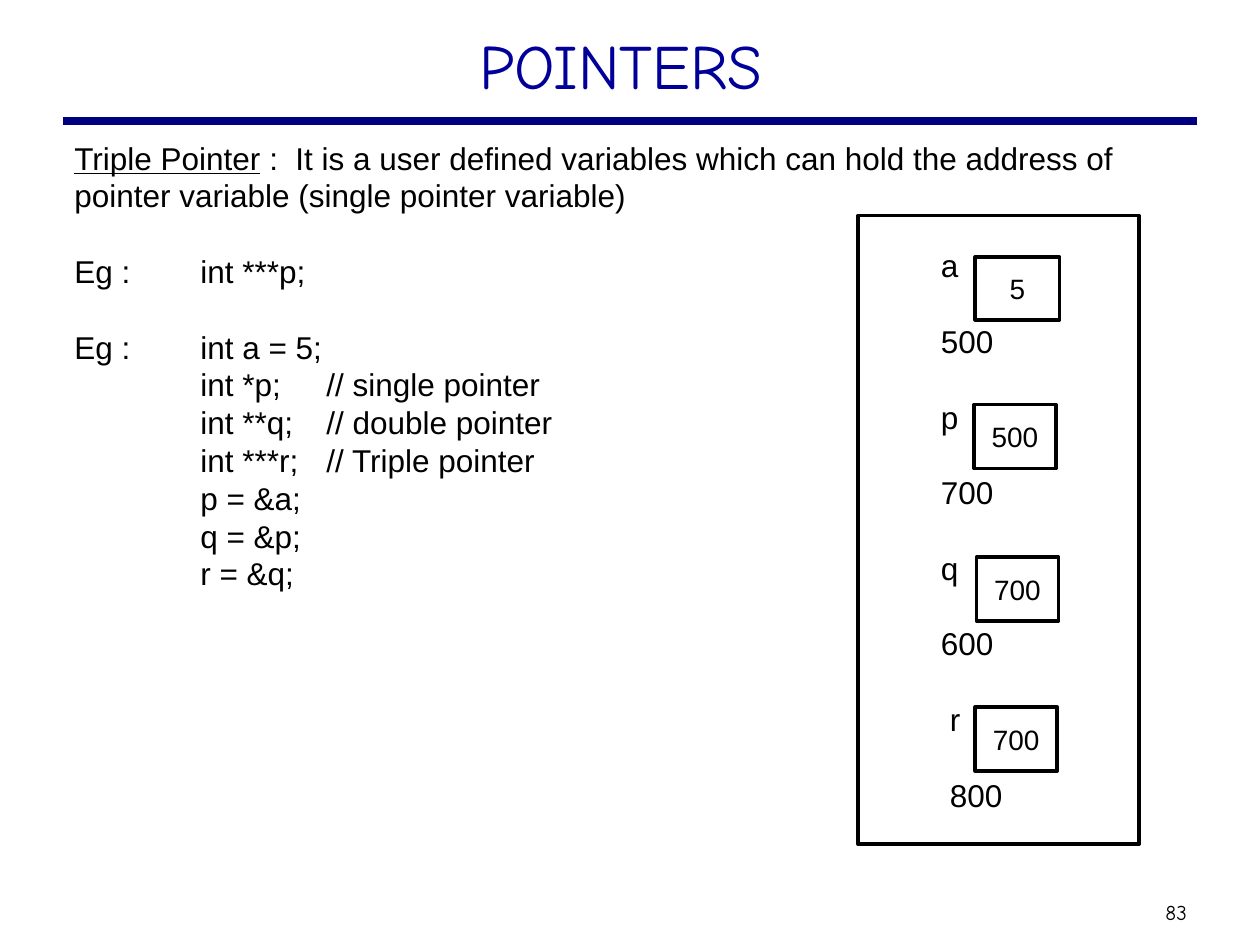
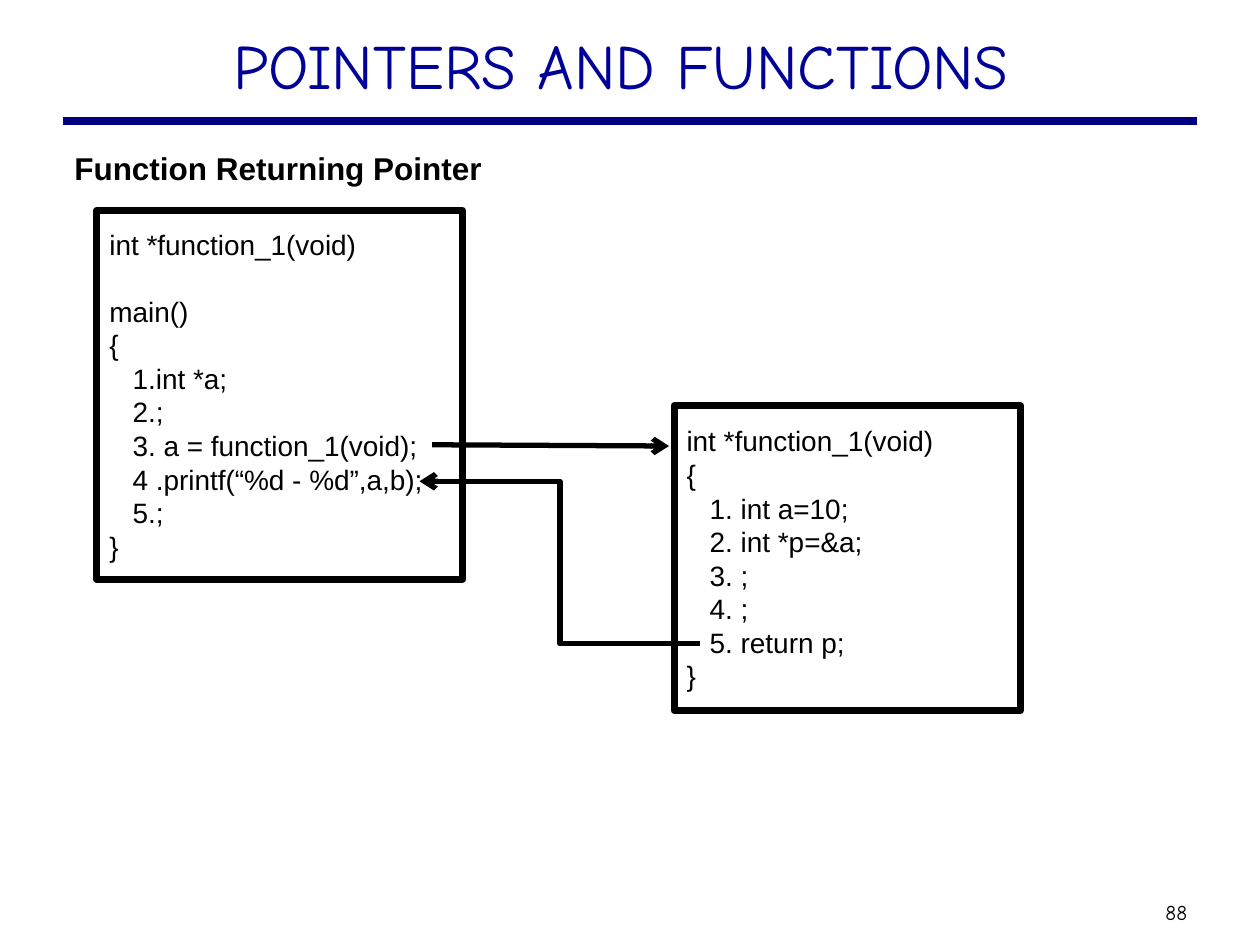
from dataclasses import dataclass

from pptx import Presentation
from pptx.dml.color import RGBColor
from pptx.enum.shapes import MSO_CONNECTOR as Connector, MSO_SHAPE as Shape
from pptx.enum.text import MSO_ANCHOR as Anchor, MSO_AUTO_SIZE as AutoSize, PP_ALIGN as Align
from pptx.oxml.ns import qn
from pptx.util import Inches, Pt
from lxml.etree import SubElement

# ---- Content ----
# A paragraph is (text, formats); a plain string has no special format.
TRIPLE_POINTER = [
    ("Triple Pointer", {"rest": " :  It is a user defined variables which can hold "
                                "the address of pointer variable (single pointer variable)"}),
    ("Eg :\tint ***p;", {"gap": True}),
    ("Eg :\tint a = 5;", {"gap": True}),
    "\tint *p;\t// single pointer",
    "\tint **q;\t// double pointer",
    "\tint ***r;\t// Triple pointer",
    "\tp = &a;",
    "\tq = &p;",
    "\tr = &q;",
]
# Variable, address, label indent, value, cell box
MEMORY = [
    ("a", "500", 0.56, "5", (7.74, 2.04, 0.67, 0.5)),
    ("p", "700", 0.56, "500", (7.73, 3.21, 0.65, 0.51)),
    ("q", "600", 0.56, "700", (7.75, 4.42, 0.65, 0.51)),
    ("r", "800", 0.63, "700", (7.74, 5.61, 0.65, 0.51)),
]
MEMORY_BOX = (6.81, 1.71, 2.23, 4.99)
CALLER = [
    "int *function_1(void)",
    ("main()", {"gap": True}),
    "{",
    "   1.int *a;",
    "   2.;",
    "   3. a = function_1(void);",
    "   4 .printf(“%d - %d”,a,b);",
    "   5.;",
    "}",
]
CALLEE = [
    "int *function_1(void)",
    "{",
    "   1. int a=10;",
    "   2. int *p=&a;",
    "   3. ;",
    "   4. ;",
    "   5. return p;",
    "}",
]
# Box (left, top, width, height) and its code
CODE_BOXES = [((0.77, 1.67, 2.9, 2.93), CALLER), ((5.35, 3.22, 2.75, 2.42), CALLEE)]
# Kind, start, end
CALL_ARROWS = [
    (Connector.STRAIGHT, (3.43, 3.53), (5.31, 3.54)),
    (Connector.ELBOW, (5.56, 5.11), (3.33, 3.82)),
]


# ---- Theme ----
@dataclass(frozen=True)
class Theme:
    ink: RGBColor = RGBColor(0, 0, 0)
    title_ink: RGBColor = RGBColor(0, 0, 0x99)
    rule: RGBColor = RGBColor(0, 0, 0x80)
    title_font: str = "Comic Neue"
    body_font: str = "Arial"
    title_size: int = 36
    body_size: int = 18
    code_size: int = 16
    number_size: int = 12
    leading: float = 1.2
    tab: int = Inches(1)


THEME = Theme()


# ---- Text ----
def apply(target, formats):
    for name, value in formats.items():
        setattr(target, name, value)


def add_run(paragraph, text, color, formats):
    run = paragraph.add_run()
    run.text = text
    apply(run.font, formats)
    run.font.color.rgb = color


def write(frame, lines, size, font=THEME.body_font, color=THEME.ink, bold=False,
          align=Align.LEFT, anchor=Anchor.TOP, wrap=True, margin=0.1):
    """Fill a text frame; a gap leaves one line free above a paragraph."""
    apply(frame, {
        "word_wrap": wrap, "auto_size": AutoSize.NONE, "vertical_anchor": anchor,
        "margin_left": Inches(margin), "margin_right": Inches(margin),
        "margin_top": Inches(0.05), "margin_bottom": Inches(0.05),
    })
    leading = Pt(size * THEME.leading)
    formats = {"name": font, "size": Pt(size), "bold": bold}
    for index, line in enumerate(lines):
        text, extra = (line, {}) if isinstance(line, str) else line
        paragraph = frame.paragraphs[0] if index == 0 else frame.add_paragraph()
        properties = paragraph._p.get_or_add_pPr()
        indents = {"marL": Inches(extra.get("indent", 0)), "indent": 0, "defTabSz": THEME.tab}
        for name, value in indents.items():
            properties.set(name, str(value))
        SubElement(properties, qn("a:buNone"))
        apply(paragraph, {
            "alignment": align, "line_spacing": leading, "space_after": Pt(0),
            "space_before": leading if extra.get("gap") else Pt(0),
        })
        rest = extra.get("rest")
        add_run(paragraph, text, color, {**formats, "underline": bool(rest)})
        if rest:
            add_run(paragraph, rest, color, formats)


# ---- Shapes ----
def place(shape, box):
    apply(shape, dict(zip(("left", "top", "width", "height"), map(Inches, box))))


def add_box(slide, box, lines, size, line_width, **text_formats):
    shape = slide.shapes.add_shape(Shape.RECTANGLE, *map(Inches, box))
    shape.shadow.inherit = False
    shape.fill.background()
    shape.line.color.rgb = THEME.ink
    shape.line.width = Pt(line_width)
    write(shape.text_frame, lines, size, anchor=Anchor.MIDDLE, **text_formats)


def add_line(slide, kind, start, end, color, width, arrow=False):
    connector = slide.shapes.add_connector(kind, *map(Inches, (*start, *end)))
    connector.line.color.rgb = color
    connector.line.width = Pt(width)
    properties = connector._element.spPr
    if arrow:
        SubElement(properties.find(qn("a:ln")), qn("a:tailEnd"), type="arrow")
    SubElement(properties, qn("a:effectLst"))


def add_page(presentation, title, number, body, body_top, **body_formats):
    """Add a slide with the shared title, rule, body and number."""
    slide = presentation.slides.add_slide(presentation.slide_layouts[1])
    add_line(slide, Connector.STRAIGHT, (0.5, 0.96), (9.5, 0.96), THEME.rule, 4.5)
    title_shape, body_shape = slide.placeholders
    place(title_shape, (0.75, 0.16, 8.5, 0.76))
    write(title_shape.text_frame, [title], THEME.title_size, THEME.title_font,
          THEME.title_ink, align=Align.CENTER)
    # The title sits slightly left of the slide centre
    title_shape.text_frame.margin_right = Inches(0.24)
    place(body_shape, (0.49, body_top, 9, 6))
    write(body_shape.text_frame, body, THEME.body_size, **body_formats)
    number_box = slide.shapes.add_textbox(*map(Inches, (9.1, 7.09, 0.47, 0.3)))
    write(number_box.text_frame, [number], THEME.number_size, THEME.title_font,
          align=Align.CENTER, anchor=Anchor.MIDDLE, margin=0.05)
    # The number starts at a fixed place inside its box
    number_box.text_frame.paragraphs[0].alignment = Align.LEFT
    number_box.text_frame.margin_left = Inches(0.15)
    return slide


# ---- Slides ----
def add_triple_pointer(presentation):
    slide = add_page(presentation, "POINTERS", "83", TRIPLE_POINTER, 1.05)
    labels = []
    for index, (variable, address, indent, value, cell) in enumerate(MEMORY):
        labels += [(variable, {"indent": indent, "gap": index > 0}),
                   (address, {"indent": indent, "gap": True})]
        add_box(slide, cell, [value], THEME.code_size, 2, align=Align.CENTER, wrap=False)
    add_box(slide, MEMORY_BOX, labels, THEME.body_size, 2)


def add_returning_pointer(presentation):
    slide = add_page(presentation, "POINTERS AND FUNCTIONS", "88",
                     ["Function Returning Pointer"], 1.13, bold=True)
    for box, code in CODE_BOXES:
        add_box(slide, box, code, THEME.code_size, 4)
    for kind, start, end in CALL_ARROWS:
        add_line(slide, kind, start, end, THEME.ink, 3, arrow=True)


def main():
    presentation = Presentation()
    presentation.slide_width, presentation.slide_height = Inches(10), Inches(7.5)
    add_triple_pointer(presentation)
    add_returning_pointer(presentation)
    presentation.save("out.pptx")


if __name__ == "__main__":
    main()
